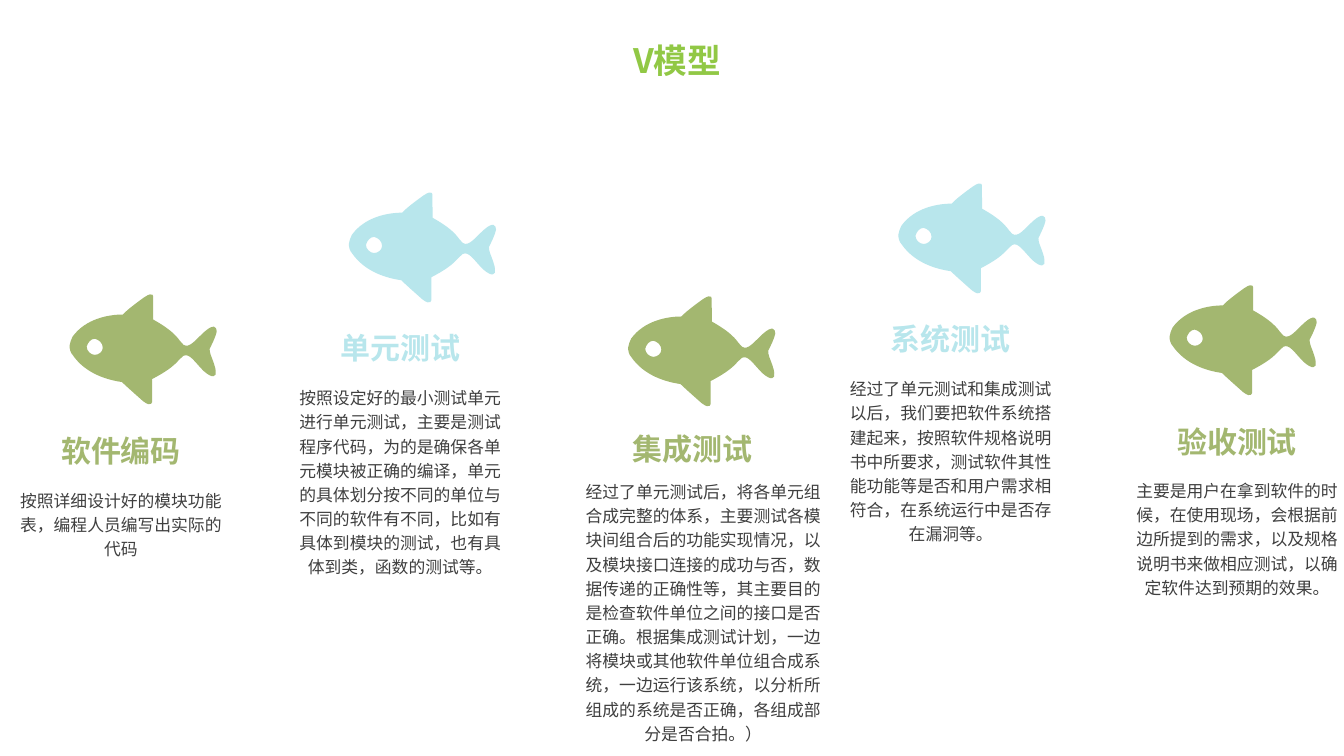
import math

import pptx
import pptx.dml.color
import pptx.enum.text
import pptx.oxml.ns
import pptx.util
from lxml import etree

Inches = pptx.util.Inches
RGBColor = pptx.dml.color.RGBColor
ALIGN = pptx.enum.text.PP_ALIGN
qn = pptx.oxml.ns.qn

LIME = RGBColor(0x91, 0xC8, 0x45)
OLIVE = RGBColor(0xA3, 0xB7, 0x70)
AQUA = RGBColor(0xB8, 0xE6, 0xEC)
GREY = RGBColor(0x3F, 0x3F, 0x3F)

# Fish outline as Bezier curves, in hundredths of an inch from the nose
FISH_BODY = [
    (0, 0), (0, -3, 2, -6, 3, -9), (16, -27, 39, -31, 53, -31),
    (57, -36, 74, -48, 74, -48), (84, -55, 83, -48, 83, -48),
    (83, -26, 83, -26, 83, -26), (108, -12, 108, -5, 113, -1),
    (119, 3, 125, -6, 134, -14), (143, -22, 146, -19, 146, -14),
    (145, -9, 141, -1, 139, 3), (139, 5, 139, 6, 140, 9),
    (142, 14, 145, 22, 145, 25), (146, 31, 142, 33, 133, 25),
    (124, 16, 119, 7, 113, 10), (107, 14, 107, 20, 82, 33),
    (82, 55, 82, 55, 82, 55), (82, 55, 82, 62, 73, 55),
    (73, 55, 56, 40, 52, 36), (38, 34, 16, 28, 3, 9),
    (1, 7, 0, 3, 0, 0)]
FISH_EYE = [
    (25, 9), (29, 9, 33, 6, 33, 2), (33, -3, 29, -6, 25, -7),
    (21, -7, 18, -3, 17, 1), (17, 5, 21, 9, 25, 9)]
FISH_CENTRE = (79.5, 3.5)
FISH_WIDTH, FISH_HEIGHT = Inches(1.27), Inches(1.31)
FISH_ANGLE = 316.5

# Fish corner, text left, heading top, body box (top, width, height),
# colour, heading, description
STAGES = [
    ((0.85, 2.81), 0.13, 4.29, (4.83, 2.14, 1.36), OLIVE, "软件编码",
     "按照详细设计好的模块功能表，编程人员编写出实际的代码"),
    ((3.62, 1.8), 2.9, 3.27, (3.81, 2.14, 1.4), AQUA, "单元测试",
     "按照设定好的最小测试单元进行单元测试，主要是测试程序代码，为的是确保各单元模块"
     "被正确的编译，单元的具体划分按不同的单位与不同的软件有不同，比如有具体到模块的"
     "测试，也有具体到类，函数的测试等。"),
    ((6.39, 2.83), 5.8, 4.27, (4.74, 2.35, 2.67), OLIVE, "集成测试",
     "经过了单元测试后，将各单元组合成完整的体系，主要测试各模块间组合后的功能实现情况，"
     "以及模块接口连接的成功与否，数据传递的正确性等，其主要目的是检查软件单位之间的接口"
     "是否正确。根据集成测试计划，一边将模块或其他软件单位组合成系统，一边运行该系统，"
     "以分析所组成的系统是否正确，各组成部分是否合拍。）"),
    ((9.07, 1.71), 8.36, 3.18, (3.72, 2.14, 2.46), AQUA, "系统测试",
     "经过了单元测试和集成测试以后，我们要把软件系统搭建起来，按照软件规格说明书中所要求，"
     "测试软件其性能功能等是否和用户需求相符合，在系统运行中是否存在漏洞等。"),
    ((11.76, 2.72), 11.2, 4.2, (4.73, 2.14, 1.45), OLIVE, "验收测试",
     "主要是用户在拿到软件的时候，在使用现场，会根据前边所提到的需求，以及规格说明书来做"
     "相应测试，以确定软件达到预期的效果。"),
]


def fish_points(step):
    """Points of one step in the fish's box, before the shape is rotated."""
    turn = math.radians(-FISH_ANGLE)
    points = []
    for x, y in zip(step[::2], step[1::2]):
        dx, dy = x - FISH_CENTRE[0], y - FISH_CENTRE[1]
        across = dx * math.cos(turn) - dy * math.sin(turn)
        down = dx * math.sin(turn) + dy * math.cos(turn)
        points.append((FISH_WIDTH // 2 + Inches(across / 100),
                       FISH_HEIGHT // 2 + Inches(down / 100)))
    return points


class Deck:
    font = "Noto Sans CJK SC"

    def __init__(self, prs):
        self.s = prs.slides.add_slide(prs.slide_layouts[5])

    def style(self, p, text, size, color, bold, align):
        p.text = text
        p.alignment = align
        p.font.size = pptx.util.Pt(size)
        p.font.bold = bold
        p.font.color.rgb = color
        p.font.name = self.font
        # East Asian characters take their own typeface entry
        ea = etree.SubElement(p.font._element, qn("a:ea"))
        ea.set("typeface", self.font)

    def title(self, text, left, top, width, height):
        sp = self.s.shapes.title
        sp.left, sp.top = Inches(left), Inches(top)
        sp.width, sp.height = Inches(width), Inches(height)
        tf = sp.text_frame
        tf.vertical_anchor = pptx.enum.text.MSO_ANCHOR.TOP
        tf.auto_size = pptx.enum.text.MSO_AUTO_SIZE.NONE
        self.style(tf.paragraphs[0], text, 24, LIME, True, ALIGN.LEFT)

    def text(self, text, left, top, width, height, size, color,
             bold=False, wrap=True, spacing=None):
        sp = self.s.shapes.add_textbox(
            Inches(left), Inches(top), Inches(width), Inches(height))
        tf = sp.text_frame
        tf.word_wrap = wrap
        tf.margin_left = tf.margin_right = tf.margin_top = tf.margin_bottom = 0
        p = tf.paragraphs[0]
        self.style(p, text, size, color, bold, ALIGN.CENTER)
        p.line_spacing = spacing

    def fish(self, left, top, color):
        body, eye = ([fish_points(step) for step in outline]
                     for outline in (FISH_BODY, FISH_EYE))
        builder = self.s.shapes.build_freeform(*body[0][0])
        builder.add_line_segments([pts[-1] for pts in body[1:]])
        builder.move_to(*eye[0][0])
        builder.add_line_segments([pts[-1] for pts in eye[1:]])
        sp = builder.convert_to_shape()
        self.bend(sp, body + eye)
        sp.left, sp.top = Inches(left), Inches(top)
        sp.width, sp.height = FISH_WIDTH, FISH_HEIGHT
        sp.rotation = FISH_ANGLE
        sp.shadow.inherit = False
        sp.fill.solid()
        sp.fill.fore_color.rgb = color
        sp.line.fill.background()

    def bend(self, sp, steps):
        """Turn the straight segments of a freeform into Bezier curves."""
        outline = next(sp._element.iter(qn("a:path")))
        outline.set("w", str(FISH_WIDTH))
        outline.set("h", str(FISH_HEIGHT))
        segments = list(outline.iter(qn("a:moveTo"), qn("a:lnTo")))
        for old, pts in zip(segments, steps):
            tag = "a:moveTo" if len(pts) == 1 else "a:cubicBezTo"
            new = etree.Element(qn(tag))
            for x, y in pts:
                etree.SubElement(new, qn("a:pt"), x=str(x), y=str(y))
            outline.replace(old, new)


def main():
    prs = pptx.Presentation()
    prs.slide_width, prs.slide_height = Inches(13.33), Inches(7.5)
    deck = Deck(prs)

    # Title
    deck.title("V模型", 6.18, 0.35, 4.57, 0.5)

    # One fish with description and heading per test stage
    for corner, left, head_top, box, color, head, body in STAGES:
        deck.fish(*corner, color)
        deck.text(body, left, *box, 12, GREY, spacing=1.2)
        deck.text(head, left, head_top, 2.14, 0.45, 21.4, color,
                  bold=True, wrap=False)

    prs.save("out.pptx")


if __name__ == "__main__":
    main()
